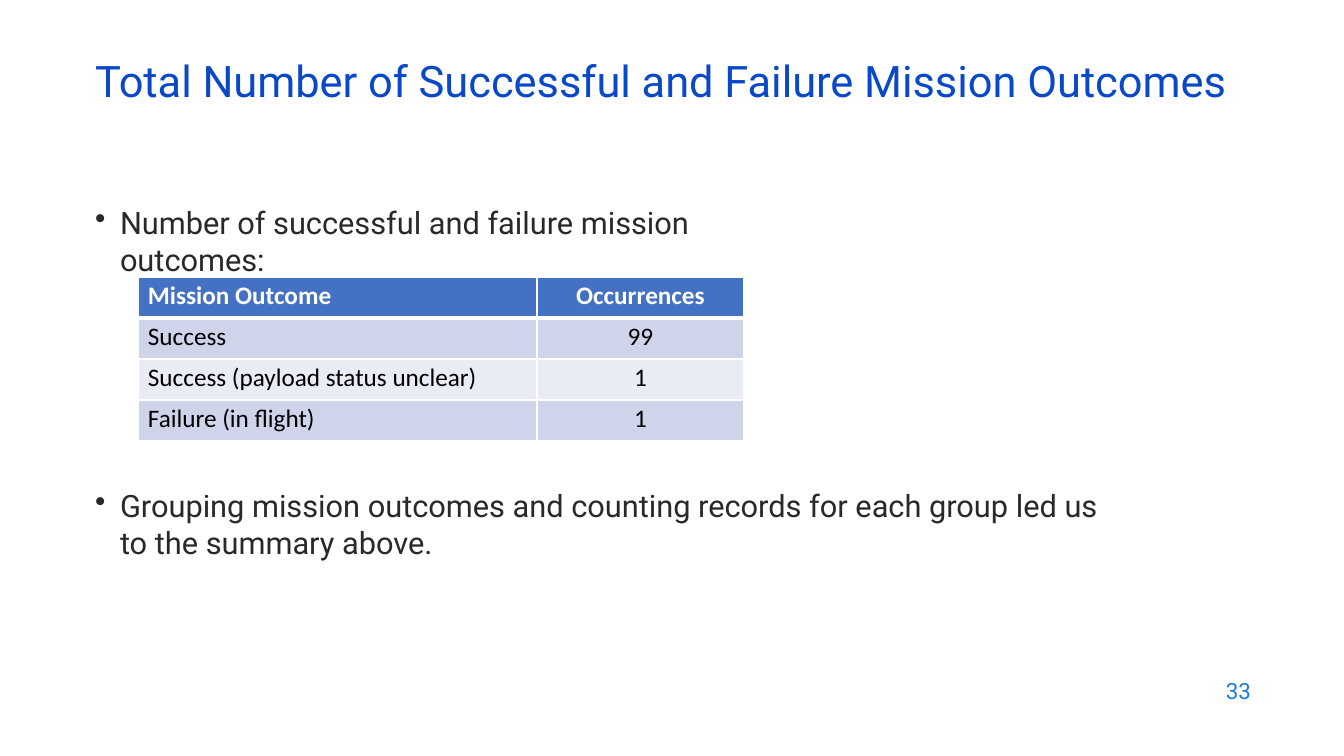
import pptx
import pptx.util
import pptx.dml.color
import pptx.enum.text
import pptx.oxml
import pptx.oxml.ns
from lxml import etree

PX = 914400 / 100.8
TITLE_BLUE = pptx.dml.color.RGBColor(0x0A, 0x48, 0xCA)
NUMBER_BLUE = pptx.dml.color.RGBColor(0x1C, 0x7C, 0xDB)
INK = pptx.dml.color.RGBColor(0x29, 0x29, 0x29)
WHITE = pptx.dml.color.RGBColor(0xFF, 0xFF, 0xFF)
BLACK = pptx.dml.color.RGBColor(0, 0, 0)
HEADER_FILL = pptx.dml.color.RGBColor(0x44, 0x71, 0xC4)
BAND_FILLS = [
    pptx.dml.color.RGBColor(0xCF, 0xD4, 0xEA),
    pptx.dml.color.RGBColor(0xE9, 0xEB, 0xF5),
]


def px(length):
    return pptx.util.Emu(round(length * PX))


def add_text(place, text, size, color, margin_top=1, left_indent=0, bullet=False):
    box = slide.shapes.add_textbox(*[px(length) for length in place])
    frame = box.text_frame
    frame.word_wrap = True
    frame.margin_left = frame.margin_right = frame.margin_bottom = 0
    frame.margin_top = px(margin_top)
    paragraph = frame.paragraphs[0]
    paragraph.text = text
    properties = paragraph._p.get_or_add_pPr()
    properties.set("marL", str(px(left_indent)))
    if bullet:
        properties.set("indent", str(px(-25)))
        etree.SubElement(properties, pptx.oxml.ns.qn("a:buChar")).set("char", "•")
    paragraph.font.name = "Roboto"
    paragraph.font.size = pptx.util.Pt(size)
    paragraph.font.color.rgb = color
    return paragraph


presentation = pptx.Presentation()
presentation.slide_width = px(1344)
presentation.slide_height = px(756)
slide = presentation.slides.add_slide(presentation.slide_layouts[6])

add_text((94, 53, 1164, 54), "Total Number of Successful and Failure Mission Outcomes",
         31, TITLE_BLUE, left_indent=1)
add_text((94, 203, 707, 39), "Number of successful and failure mission outcomes:",
         22, INK, left_indent=26, bullet=True)
add_text((94, 486, 1009, 77),
         "Grouping mission outcomes and counting records for each group led us to the summary above.",
         22, INK, left_indent=26, bullet=True)
page_number = add_text((1222, 673, 35, 28), "33", 16, NUMBER_BLUE, margin_top=0, left_indent=4)
page_number.line_spacing = 1.15

outcomes = [
    ("Mission Outcome", "Occurrences"),
    ("Success", "99"),
    ("Success (payload status unclear)", "1"),
    ("Failure (in flight)", "1"),
]
column_widths = [399, 207]
row_height = 41
outcome_table = slide.shapes.add_table(
    len(outcomes), len(column_widths), px(138), px(277),
    px(sum(column_widths)), px(row_height * len(outcomes))).table
for column, width in zip(outcome_table.columns, column_widths):
    column.width = px(width)

for row_index, row_texts in enumerate(outcomes):
    outcome_table.rows[row_index].height = px(row_height)
    is_header = row_index == 0
    for column_index, text in enumerate(row_texts):
        cell = outcome_table.cell(row_index, column_index)
        cell.margin_left = px(0 if column_index else 10)
        cell.margin_right = cell.margin_bottom = 0
        cell.margin_top = px(4)
        cell.fill.solid()
        cell.fill.fore_color.rgb = HEADER_FILL if is_header else BAND_FILLS[(row_index - 1) % 2]
        paragraph = cell.text_frame.paragraphs[0]
        paragraph.text = text
        if column_index:
            paragraph.alignment = pptx.enum.text.PP_ALIGN.CENTER
        paragraph.font.name = "Calibri"
        paragraph.font.size = pptx.util.Pt(18)
        paragraph.font.bold = is_header
        paragraph.font.color.rgb = WHITE if is_header else BLACK
        border_points = {
            "lnL": 1,
            "lnR": 1,
            "lnT": 3 if row_index == 1 else 1,
            "lnB": 3 if is_header else 1,
        }
        for position, (side, points) in enumerate(border_points.items()):
            border = pptx.oxml.parse_xml(
                f'<a:{side} {pptx.oxml.ns.nsdecls("a")} w="{pptx.util.Pt(points)}">'
                f'<a:solidFill><a:srgbClr val="{WHITE}"/></a:solidFill></a:{side}>')
            cell._tc.get_or_add_tcPr().insert(position, border)

presentation.save("out.pptx")
